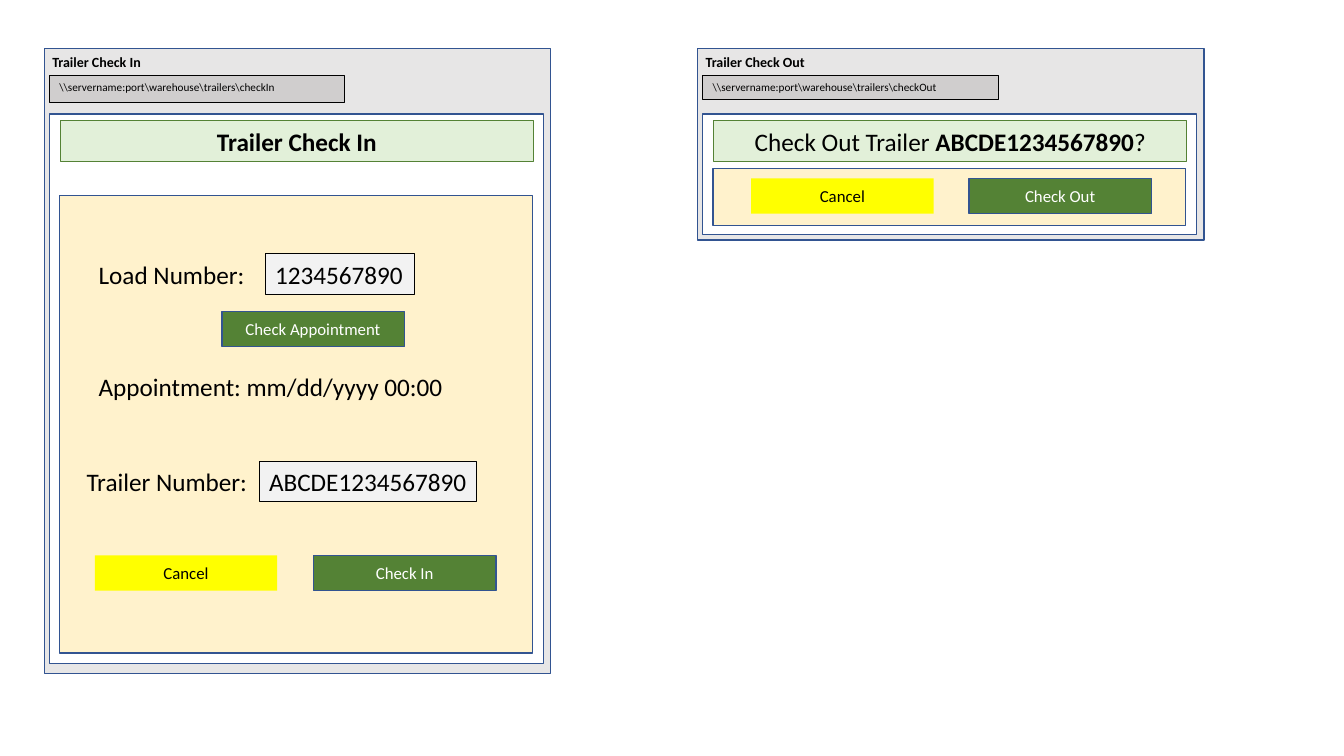
import pptx
import pptx.dml.color
import pptx.enum.shapes
import pptx.enum.text
import pptx.util

PX = 9144  # 100 px to the inch
COLORS = {
    "black": "000000", "white": "FFFFFF", "navy": "325491",
    "window": "E7E6E6", "address": "D0CECE", "panel": "FFF2CC",
    "header": "E2F0D9", "green": "548235", "field": "F2F2F2", "yellow": "FFFF00",
}
ALIGN = pptx.enum.text.PP_ALIGN
ANCHOR = pptx.enum.text.MSO_ANCHOR
RECTANGLE = pptx.enum.shapes.MSO_SHAPE.RECTANGLE


def color(name):
    return pptx.dml.color.RGBColor.from_string(COLORS[name])


def draw_box(shape, bounds, fill=None, line=None, line_width=1.0, runs=(),
             size=18, ink="black", align=ALIGN.LEFT, anchor=ANCHOR.TOP):
    """Place and style a shape; runs is a list of (text, bold) pairs."""
    shape.left, shape.top, shape.width, shape.height = [value * PX for value in bounds]
    shape.shadow.inherit = False
    if fill:
        shape.fill.solid()
        shape.fill.fore_color.rgb = color(fill)
    else:
        shape.fill.background()
    if line:
        shape.line.color.rgb = color(line)
        shape.line.width = pptx.util.Pt(line_width)
    else:
        shape.line.fill.background()
    if not runs:
        return
    frame = shape.text_frame
    frame.word_wrap = True
    frame.auto_size = pptx.enum.text.MSO_AUTO_SIZE.NONE
    frame.vertical_anchor = anchor
    paragraph = frame.paragraphs[0]
    paragraph.alignment = align
    paragraph.line_spacing = 1.0
    paragraph.space_before = pptx.util.Pt(0)
    for text, bold in runs:
        run = paragraph.add_run()
        run.text = text
        run.font.name = "Calibri"
        run.font.size = pptx.util.Pt(size)
        run.font.bold = bold
        run.font.color.rgb = color(ink)


presentation = pptx.Presentation()
presentation.slide_width = 1333 * PX
presentation.slide_height = 750 * PX
slide = presentation.slides.add_slide(presentation.slide_layouts[5])
shapes = slide.shapes
title = shapes.title

# Windows: left, height, caption, caption height, address, address height, page height, panel top and height
windows = [
    (44, 620, "Trailer Check In", 30, r"\\servername:port\warehouse\trailers\checkIn", 27, 545, 194, 454),
    (692, 190, "Trailer Check Out", 27, r"\\servername:port\warehouse\trailers\checkOut", 24, 120, 167, 57),
]
for (left, height, caption, caption_height, address, address_height,
     page_height, panel_top, panel_height) in windows:
    window = shapes.add_group_shape().shapes
    draw_box(window.add_shape(RECTANGLE, 0, 0, PX, PX), (left, 48, 502, height), "window", "navy")
    draw_box(window.add_textbox(0, 0, PX, PX), (left - 2, 48, 129, caption_height),
             runs=[(caption, True)], size=10)
    draw_box(window.add_shape(RECTANGLE, 0, 0, PX, PX), (left + 5, 75, 293, address_height),
             "address", "black", 0.75, [(address, False)], 8)
    draw_box(window.add_shape(RECTANGLE, 0, 0, PX, PX), (left + 5, 113, 490, page_height), "white", "navy")
    draw_box(shapes.add_shape(RECTANGLE, 0, 0, PX, PX),
             (left + 15, panel_top, 469, panel_height), "panel", "navy")

# Page headers; the title is raised above the windows
shapes._spTree.append(title._element)
headers = [
    (title, 60, [("Trailer Check In", True)]),
    (shapes.add_shape(RECTANGLE, 0, 0, PX, PX), 708,
     [("Check Out Trailer ", False), ("ABCDE1234567890", True), ("?", False)]),
]
for header, left, runs in headers:
    draw_box(header, (left, 120, 469, 40), "header", "green", 0.75, runs, align=ALIGN.CENTER)

labels = [
    (88, 252, 169, "Load Number:"),
    (88, 363, 368, "Appointment: mm/dd/yyyy 00:00"),
    (76, 458, 181, "Trailer Number:"),
]
for left, top, width, text in labels:
    draw_box(shapes.add_textbox(0, 0, PX, PX), (left, top, width, 40), runs=[(text, False)])

fields = [(263, 252, 148, "1234567890"), (257, 458, 216, "ABCDE1234567890")]
for left, top, width, text in fields:
    draw_box(shapes.add_shape(RECTANGLE, 0, 0, PX, PX), (left, top, width, 40),
             "field", "black", 0.75, [(text, False)])

buttons = [
    (220, 309, "Check Appointment", "green", "navy", "white"),
    (311, 551, "Check In", "green", "navy", "white"),
    (94, 551, "Cancel", "yellow", None, "black"),
    (961, 177, "Check Out", "green", "navy", "white"),
    (745, 177, "Cancel", "yellow", None, "black"),
]
for left, top, text, fill, line, ink in buttons:
    draw_box(shapes.add_shape(RECTANGLE, 0, 0, PX, PX), (left, top, 181, 35), fill, line,
             runs=[(text, False)], size=12, ink=ink, align=ALIGN.CENTER, anchor=ANCHOR.MIDDLE)

presentation.save("out.pptx")
